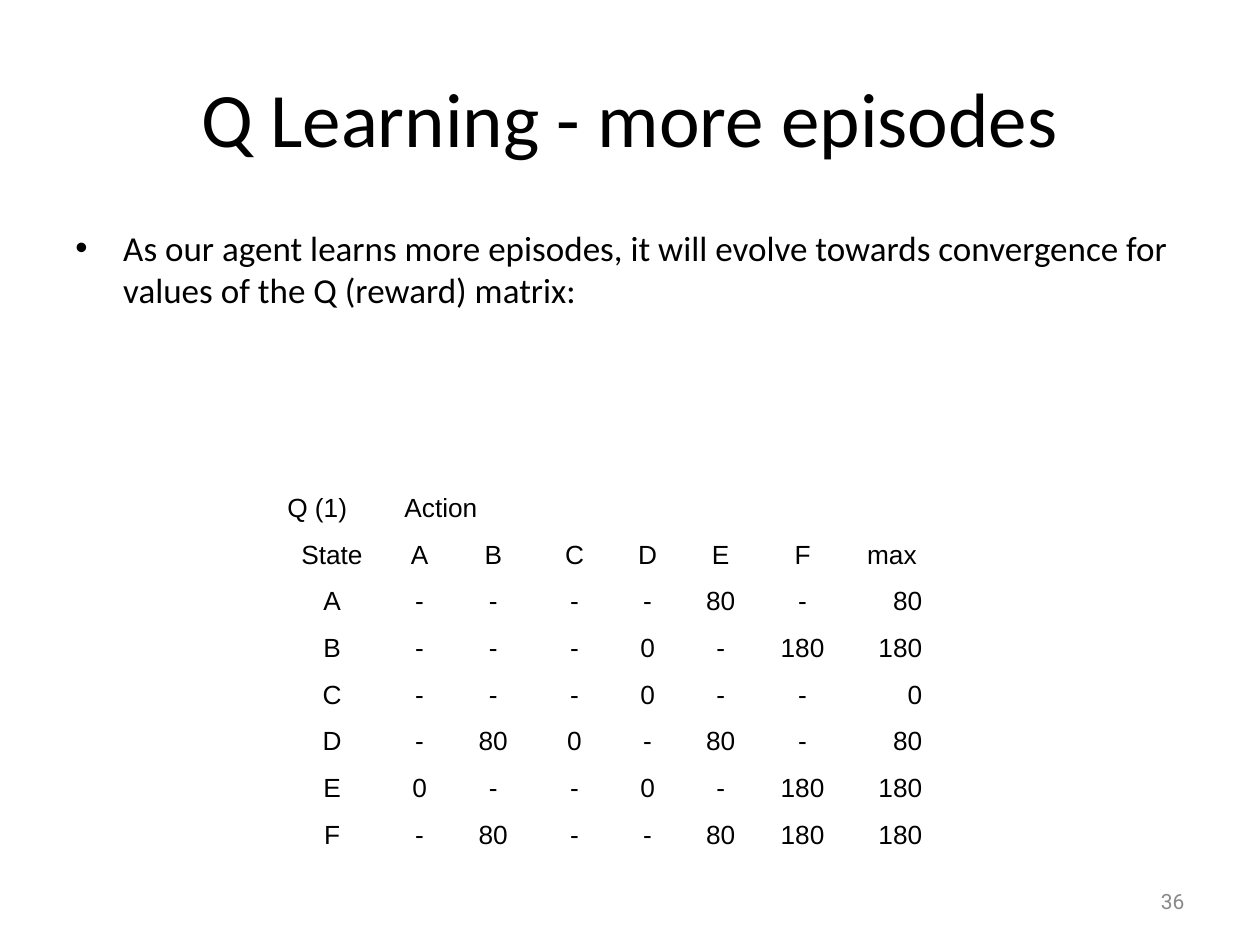
from dataclasses import dataclass

from lxml import etree
from pptx import Presentation
from pptx.dml.color import RGBColor
from pptx.enum.text import MSO_ANCHOR, PP_ALIGN
from pptx.oxml.ns import qn
from pptx.util import Inches, Pt

LEFT, MID, RIGHT = PP_ALIGN.LEFT, PP_ALIGN.CENTER, PP_ALIGN.RIGHT
TOP, CENTER, BASE = MSO_ANCHOR.TOP, MSO_ANCHOR.MIDDLE, MSO_ANCHOR.BOTTOM
WIDE, HIGH = Inches(10), Inches(7.5)
COLS, ROWS = 20, 30


@dataclass(frozen=True)
class Style:
    font: str
    size: float
    color: str


@dataclass(frozen=True)
class Theme:
    title: Style = Style("Calibri", 44, "000000")
    body: Style = Style("Calibri", 20, "000000")
    cell: Style = Style("Arial", 15, "000000")
    page: Style = Style("Roboto", 12, "898989")


THEME = Theme()

TITLE = "Q Learning - more episodes"
POINT = ("As our agent learns more episodes, it will evolve towards "
         "convergence for values of the Q (reward) matrix:")
REWARDS = [
    ["State", "A", "B", "C", "D", "E", "F", "max"],
    ["A", "-", "-", "-", "-", "80", "-", "80"],
    ["B", "-", "-", "-", "0", "-", "180", "180"],
    ["C", "-", "-", "-", "0", "-", "-", "0"],
    ["D", "-", "80", "0", "-", "80", "-", "80"],
    ["E", "0", "-", "-", "0", "-", "180", "180"],
    ["F", "-", "80", "-", "-", "80", "180", "180"],
]
COL_SHARES = [0.93, 0.46, 0.71, 0.58, 0.58, 0.58, 0.72, 0.7]
HEAD_SHARE, ROW_SHARE = 0.7, 0.37


def place(left, top, width, height):
    """Turn grid columns and rows into slide lengths."""
    return (round(left * WIDE / COLS), round(top * HIGH / ROWS),
            round(width * WIDE / COLS), round(height * HIGH / ROWS))


def write(frame, text, style, align=LEFT):
    frame.text = text
    para = frame.paragraphs[0]
    para.alignment = align
    font = para.runs[0].font
    font.name, font.size = style.font, Pt(style.size)
    font.color.rgb = RGBColor.from_string(style.color)
    return para


def add_title(slide, box):
    title = slide.shapes.title
    title.left, title.top, title.width, title.height = box
    title.text_frame.vertical_anchor = CENTER
    write(title.text_frame, TITLE, THEME.title, MID)


def add_text(slide, box, text, style, align=LEFT, anchor=TOP):
    frame = slide.shapes.add_textbox(*box).text_frame
    frame.word_wrap = True
    frame.vertical_anchor = anchor
    return write(frame, text, style, align)


def add_point(slide, box):
    para = add_text(slide, box, POINT, THEME.body)
    props = para._p.get_or_add_pPr()
    props.set("marL", str(Inches(0.38)))
    props.set("indent", str(-Inches(0.38)))
    etree.SubElement(props, qn("a:buFont"), typeface="Arial")
    etree.SubElement(props, qn("a:buChar"), char="•")


def fill_cell(cell, text, align):
    cell.vertical_anchor = BASE
    cell.margin_left = cell.margin_right = Inches(0.11)
    write(cell.text_frame, text, THEME.cell, align)


def add_rewards(slide, box):
    width, height = box[2:]
    count = len(COL_SHARES)
    table = slide.shapes.add_table(len(REWARDS) + 1, count, *box).table
    table.first_row = table.horz_banding = False

    for col, share in zip(table.columns, COL_SHARES):
        col.width = round(width * share / sum(COL_SHARES))
    shares = [HEAD_SHARE] + [ROW_SHARE] * len(REWARDS)
    for row, share in zip(table.rows, shares):
        row.height = round(height * share / sum(shares))
    for cell in table.iter_cells():
        cell.fill.background()

    table.cell(0, 1).merge(table.cell(0, 2))
    for c, text in enumerate(["Q (1)", "Action"]):
        fill_cell(table.cell(0, c), text, LEFT)
    for r, values in enumerate(REWARDS, 1):
        for c, text in enumerate(values):
            is_max = r > 1 and c == count - 1
            fill_cell(table.cell(r, c), text, RIGHT if is_max else MID)


def main():
    deck = Presentation()
    deck.slide_width, deck.slide_height = WIDE, HIGH
    slide = deck.slides.add_slide(deck.slide_layouts[5])
    add_title(slide, place(1, 1.2, 18, 5))
    add_point(slide, place(1, 7, 18, 19.8))
    add_text(slide, place(14.34, 27.8, 4.66, 1.6), "36", THEME.page,
             RIGHT, CENTER)
    add_rewards(slide, place(4.34, 14, 10.52, 13.18))
    deck.save("out.pptx")


if __name__ == "__main__":
    main()
